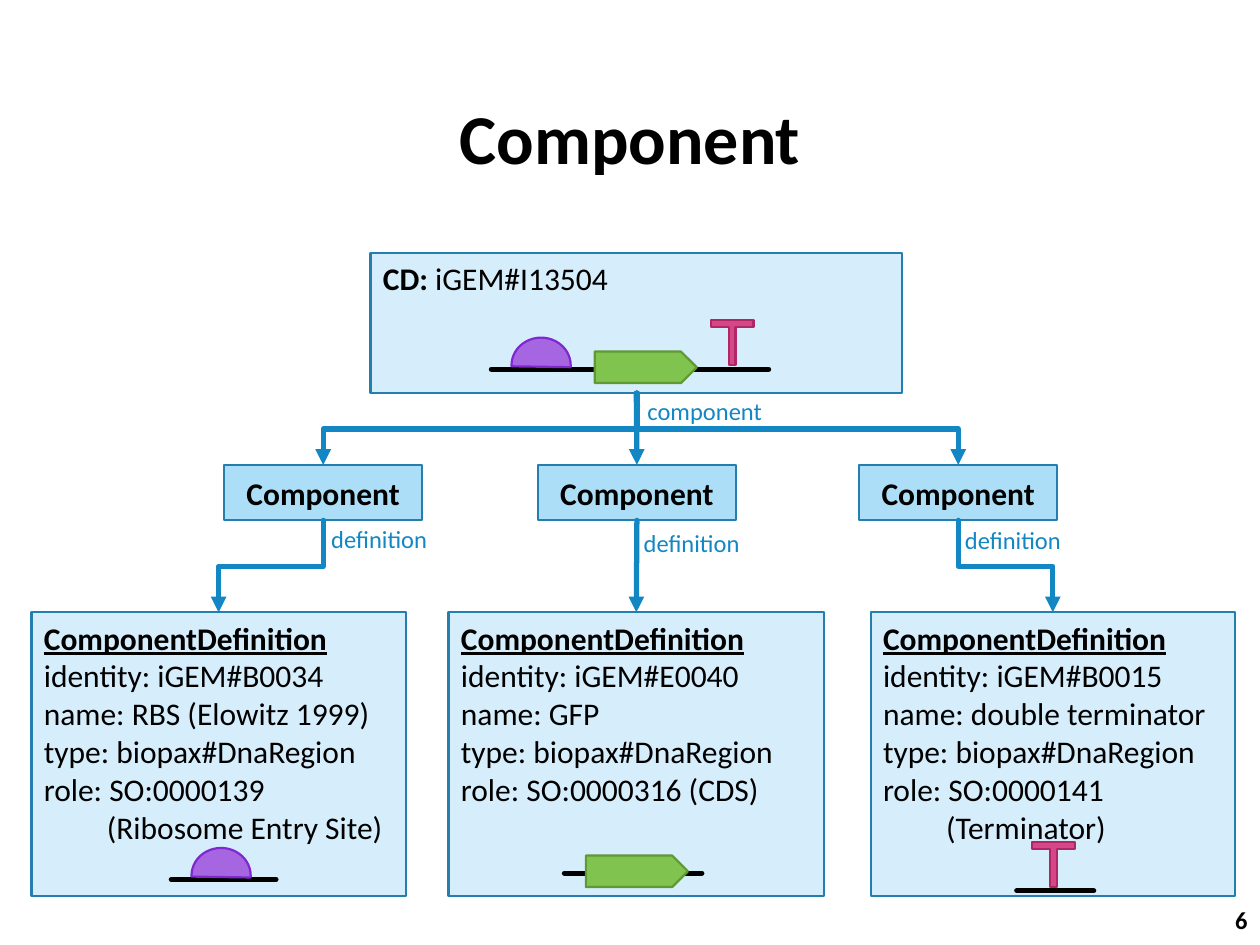
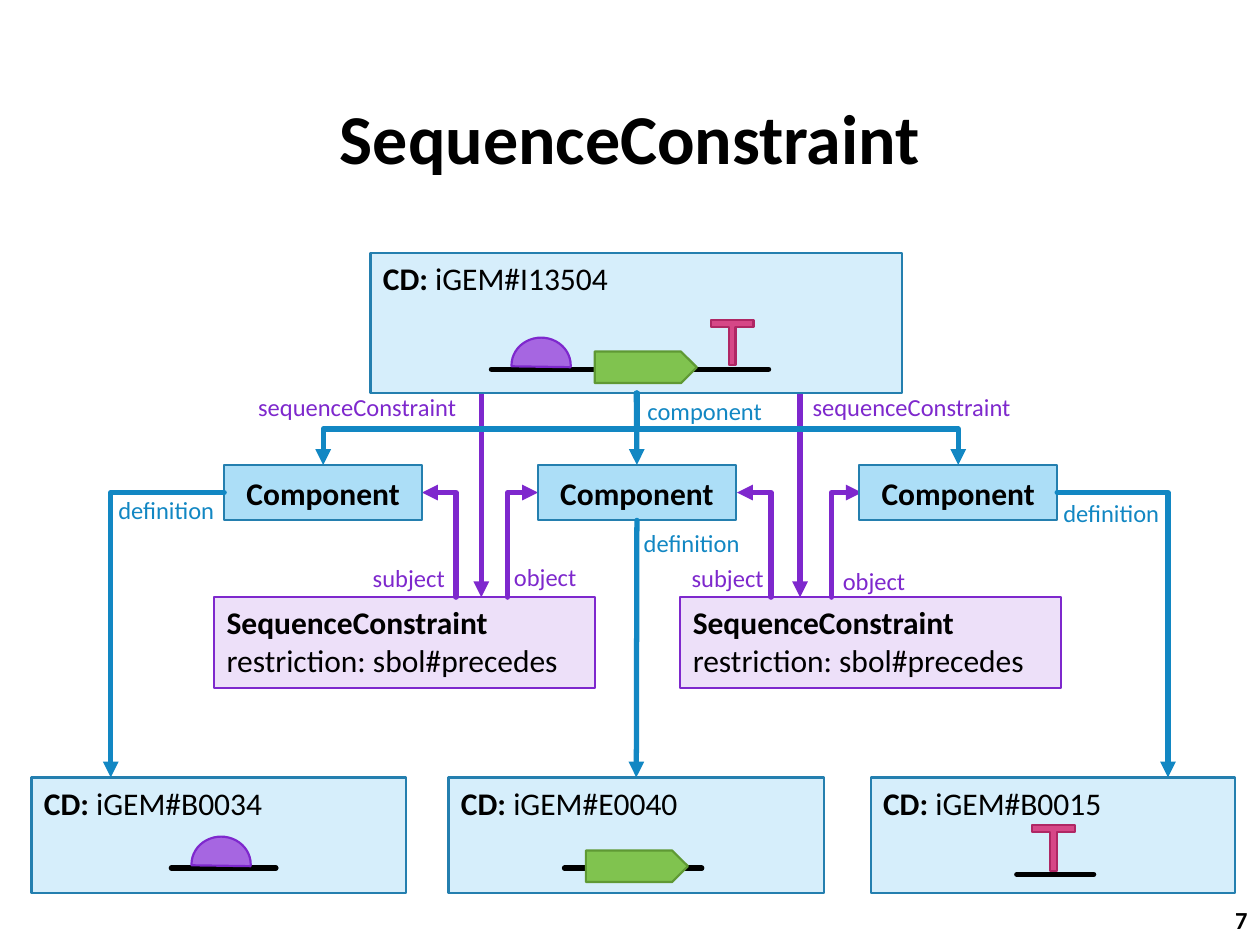
from dataclasses import dataclass

import pptx
import pptx.dml.color
import pptx.enum.shapes
import pptx.enum.text
import pptx.oxml
import pptx.oxml.ns
import pptx.util

Inches = pptx.util.Inches
Pt = pptx.util.Pt
SHAPE = pptx.enum.shapes.MSO_SHAPE
CONNECTOR = pptx.enum.shapes.MSO_CONNECTOR
ALIGN = pptx.enum.text.PP_ALIGN
ANCHOR = pptx.enum.text.MSO_ANCHOR


@dataclass(frozen=True)
class Theme:
    font: str = "Calibri"
    ink: str = "000000"
    definition: tuple = ("D6EEFB", "247FAF")
    component: tuple = ("ACDEF7", "247FAF")
    constraint: tuple = ("EDE0F9", "7E28CD")
    rbs: tuple = ("A666E1", "7E28CD")
    cds: tuple = ("80C34F", "5F9934")
    terminator: tuple = ("D64787", "AF2764")
    blue: str = "1287C3"
    purple: str = "7E28CD"
    title: int = 40
    body: int = 18
    label: int = 14
    outline: float = 1.25
    stroke: int = 3


T = Theme()
CD_BOX = (2.94, 2.01, 4.22, 1.11)
CD_BOTTOM = 3.12
COMPONENT_LEFTS = (1.78, 4.27, 6.82)
COMPONENT_TOP, COMPONENT_W, COMPONENT_H = 3.69, 1.57, 0.44
COMPONENT_MID = COMPONENT_TOP + COMPONENT_H / 2
COMPONENT_BOTTOM = COMPONENT_TOP + COMPONENT_H
COMPONENT_CENTERS = [x + COMPONENT_W / 2 for x in COMPONENT_LEFTS]
CONSTRAINT_TOP = 4.74

GLYPHS = {
    "rbs": (SHAPE.CHORD, T.rbs, 0.25, 0.47, 0.44, (106.9, 2.146), 0),
    "cds": (SHAPE.PENTAGON, T.cds, 0.14, 0.81, 0.25, (0.5,), 0),
    "terminator": (SHAPE.LEFT_RIGHT_UP_ARROW, T.terminator, 0.39, 0.34, 0.36,
                   (0.182, 0.081, 0), 180),
}

PARTS = [
    dict(id="iGEM#B0034", name="RBS (Elowitz 1999)",
         role="SO:0000139 (Ribosome Entry Site)", left=0.25, width=2.97,
         strand=(1.36, 2.19), glyph=("rbs", 1.52), bases=(6.98, 6.89)),
    dict(id="iGEM#E0040", name="GFP", role="SO:0000316 (CDS)",
         left=3.56, width=2.98, strand=(4.48, 5.57), glyph=("cds", 4.65),
         bases=(6.93, 6.89)),
    dict(id="iGEM#B0015", name="double terminator",
         role="SO:0000141 (Terminator)", left=6.91, width=2.89,
         strand=(8.07, 8.68), glyph=("terminator", 8.19), bases=(7.07, 6.94)),
]


def rgb(value):
    return pptx.dml.color.RGBColor.from_string(value)


def apply(target, values):
    for name, value in values.items():
        setattr(target, name, value)


def write(tf, paragraphs, size=T.body, color=T.ink, align=ALIGN.LEFT,
          anchor=ANCHOR.TOP, wrap=True, hanging=()):
    apply(tf, dict(word_wrap=wrap, vertical_anchor=anchor))
    for i, runs in enumerate(paragraphs):
        p = tf.paragraphs[0] if i == 0 else tf.add_paragraph()
        p.alignment = align
        if i in hanging:
            pPr = p._p.get_or_add_pPr()
            pPr.set("marL", str(Inches(0.5)))
            pPr.set("indent", str(-Inches(0.5)))
        for text, style in runs:
            r = p.add_run()
            r.text = text
            apply(r.font, dict(name=T.font, size=Pt(size), bold=False) | style)
            r.font.color.rgb = rgb(color)


def add_figure(s, kind, box, colors):
    sp = s.shapes.add_shape(kind, *map(Inches, box))
    sp.shadow.inherit = False
    fill, line = colors
    sp.fill.solid()
    sp.fill.fore_color.rgb = rgb(fill)
    sp.line.color.rgb = rgb(line)
    sp.line.width = Pt(T.outline)
    return sp


def add_box(s, box, colors, paragraphs, **layout):
    sp = add_figure(s, SHAPE.RECTANGLE, box, colors)
    write(sp.text_frame, paragraphs, **layout)
    return sp


def add_label(s, text, left, top, width, color):
    sp = s.shapes.add_textbox(*map(Inches, (left, top, width, 0.34)))
    write(sp.text_frame, [[(text, {})]], size=T.label, color=color, wrap=False)


def add_line(s, start, end, color, arrow=None, kind=CONNECTOR.STRAIGHT):
    cx = s.shapes.add_connector(kind, *map(Inches, (*start, *end)))
    cx.line.color.rgb = rgb(color)
    cx.line.width = Pt(T.stroke)
    ln = cx.line._get_or_add_ln()
    ln.set("cap", "rnd")
    if arrow:
        ln.append(pptx.oxml.parse_xml(
            f'<a:{arrow} {pptx.oxml.ns.nsdecls("a")} type="triangle"/>'))
    cx._element.spPr.append(pptx.oxml.parse_xml(
        f'<a:effectLst {pptx.oxml.ns.nsdecls("a")}/>'))
    return cx


def add_corner(s, side, edge, color, arrow):
    cx = add_line(s, side, edge, color, arrow, CONNECTOR.ELBOW)
    cx._element.spPr.prstGeom.set("prst", "bentConnector2")


def add_step(s, start, end, color):
    (x1, y1), (x2, y2) = start, end
    mid_x, mid_y = (x1 + x2) / 2, (y1 + y2) / 2
    right = x2 > x1
    half_w = (y2 - y1) / 2 * (-1 if right else 1)
    half_h = abs(x2 - x1) / 2
    cx = add_line(s, (mid_x - half_w, mid_y - half_h),
                  (mid_x + half_w, mid_y + half_h), color, "tailEnd",
                  CONNECTOR.ELBOW)
    cx._element.spPr.xfrm.set("rot", str((270 if right else 90) * 60000))


def add_joined(s, upper, lower):
    cx = add_line(s, (0, 0), (1, 1), T.blue, "tailEnd")
    cx.begin_connect(upper, 2)
    cx.end_connect(lower, 0)


def add_strand(s, x1, x2, base, glyphs):
    add_line(s, (x1, base), (x2, base), T.ink)
    for name, left in glyphs:
        kind, colors, rise, width, height, adjustments, turn = GLYPHS[name]
        sp = add_figure(s, kind, (left, base - rise, width, height), colors)
        sp.rotation = turn
        for i, value in enumerate(adjustments):
            sp.adjustments[i] = value


def cd_text(identity):
    return [[("CD: ", {"bold": True}), (identity, {})]]


def definition_text(part):
    heading = [("ComponentDefinition", {"bold": True, "underline": True})]
    fields = (f"identity: {part['id']}", f"name: {part['name']}",
              "type: biopax#DnaRegion", f"role: {part['role']}")
    return [heading] + [[(field, {})] for field in fields]


def add_titled_slide(prs, title, number):
    s = prs.slides.add_slide(prs.slide_layouts[5])
    sp = s.shapes.title
    apply(sp, dict(left=0, top=0, width=prs.slide_width, height=Inches(2.17)))
    write(sp.text_frame, [[(title, {"bold": True})]], size=T.title,
          align=ALIGN.CENTER, anchor=ANCHOR.MIDDLE)
    sp = s.shapes.add_textbox(*map(Inches, (9.53, 7.1, 0.47, 0.4)))
    write(sp.text_frame, [[(str(number), {"bold": True})]], size=T.label,
          align=ALIGN.RIGHT, anchor=ANCHOR.MIDDLE)
    return s


def add_device(s):
    cd = add_box(s, CD_BOX, T.definition, cd_text("iGEM#I13504"))
    add_strand(s, 3.9, 6.1, 2.93,
               [("rbs", 4.06), ("cds", 4.72), ("terminator", 5.64)])
    components = [
        add_box(s, (left, COMPONENT_TOP, COMPONENT_W, COMPONENT_H), T.component,
                [[("Component", {"bold": True})]], align=ALIGN.CENTER,
                anchor=ANCHOR.MIDDLE)
        for left in COMPONENT_LEFTS]
    for center in (COMPONENT_CENTERS[0], COMPONENT_CENTERS[2]):
        add_step(s, (COMPONENT_CENTERS[1], CD_BOTTOM),
                 (center, COMPONENT_TOP), T.blue)
    add_joined(s, cd, components[1])
    add_label(s, "component", 5.04, 3.09, 1.14, T.blue)
    return components


def add_parts(s, top, height, text_for, base_index, **layout):
    boxes = []
    for part in PARTS:
        boxes.append(add_box(s, (part["left"], top, part["width"], height),
                             T.definition, text_for(part), **layout))
        add_strand(s, *part["strand"], part["bases"][base_index], [part["glyph"]])
    return boxes


def add_definition_labels(s, places):
    for left, top in places:
        add_label(s, "definition", left, top, 0.99, T.blue)


def add_constraint(s, left, arrow_x, subject, object_, label_x):
    add_line(s, (arrow_x, CD_BOTTOM), (arrow_x, CONSTRAINT_TOP), T.purple,
             "tailEnd")
    add_box(s, (left, CONSTRAINT_TOP, 3.02, 0.72), T.constraint,
            [[("SequenceConstraint", {"bold": True})],
             [("restriction: sbol#precedes", {})]])
    for text, width, (side_x, edge_x, text_x, text_y) in (
            ("subject", 0.79, subject), ("object", 0.71, object_)):
        add_corner(s, (side_x, COMPONENT_MID), (edge_x, CONSTRAINT_TOP),
                   T.purple, "headEnd")
        add_label(s, text, text_x, text_y, width, T.purple)
    add_label(s, "sequenceConstraint", label_x, 3.06, 1.82, T.purple)


def component_slide(prs):
    s = add_titled_slide(prs, "Component", 6)
    top = 4.86
    boxes = add_parts(s, top, 2.25, definition_text, 0, hanging=(3, 4))
    components = add_device(s)
    for i in (0, 2):
        center = PARTS[i]["left"] + PARTS[i]["width"] / 2
        add_step(s, (COMPONENT_CENTERS[i], COMPONENT_BOTTOM), (center, top),
                 T.blue)
    add_joined(s, components[1], boxes[1])
    add_definition_labels(s, [(2.53, 4.11), (5.01, 4.14), (7.56, 4.12)])


def constraint_slide(prs):
    s = add_titled_slide(prs, "SequenceConstraint", 7)
    add_constraint(s, 1.7, 3.82, (3.35, 3.62, 2.86, 4.42),
                   (4.27, 4.03, 3.98, 4.41), 1.95)
    add_constraint(s, 5.4, 6.35, (5.85, 6.12, 5.39, 4.42),
                   (6.84, 6.6, 6.59, 4.44), 6.35)
    top = 6.17
    boxes = add_parts(s, top, 0.92, lambda part: cd_text(part["id"]), 1)
    components = add_device(s)
    for side_x, edge_x in ((COMPONENT_LEFTS[0], 0.88),
                           (COMPONENT_LEFTS[2] + COMPONENT_W, 9.27)):
        add_corner(s, (side_x, COMPONENT_MID), (edge_x, top), T.blue, "tailEnd")
    add_joined(s, components[1], boxes[1])
    add_definition_labels(s, [(0.84, 3.88), (5.01, 4.14), (8.34, 3.9)])


def main():
    prs = pptx.Presentation()
    apply(prs, dict(slide_width=Inches(10), slide_height=Inches(7.5)))
    component_slide(prs)
    constraint_slide(prs)
    prs.save("out.pptx")


if __name__ == "__main__":
    main()
